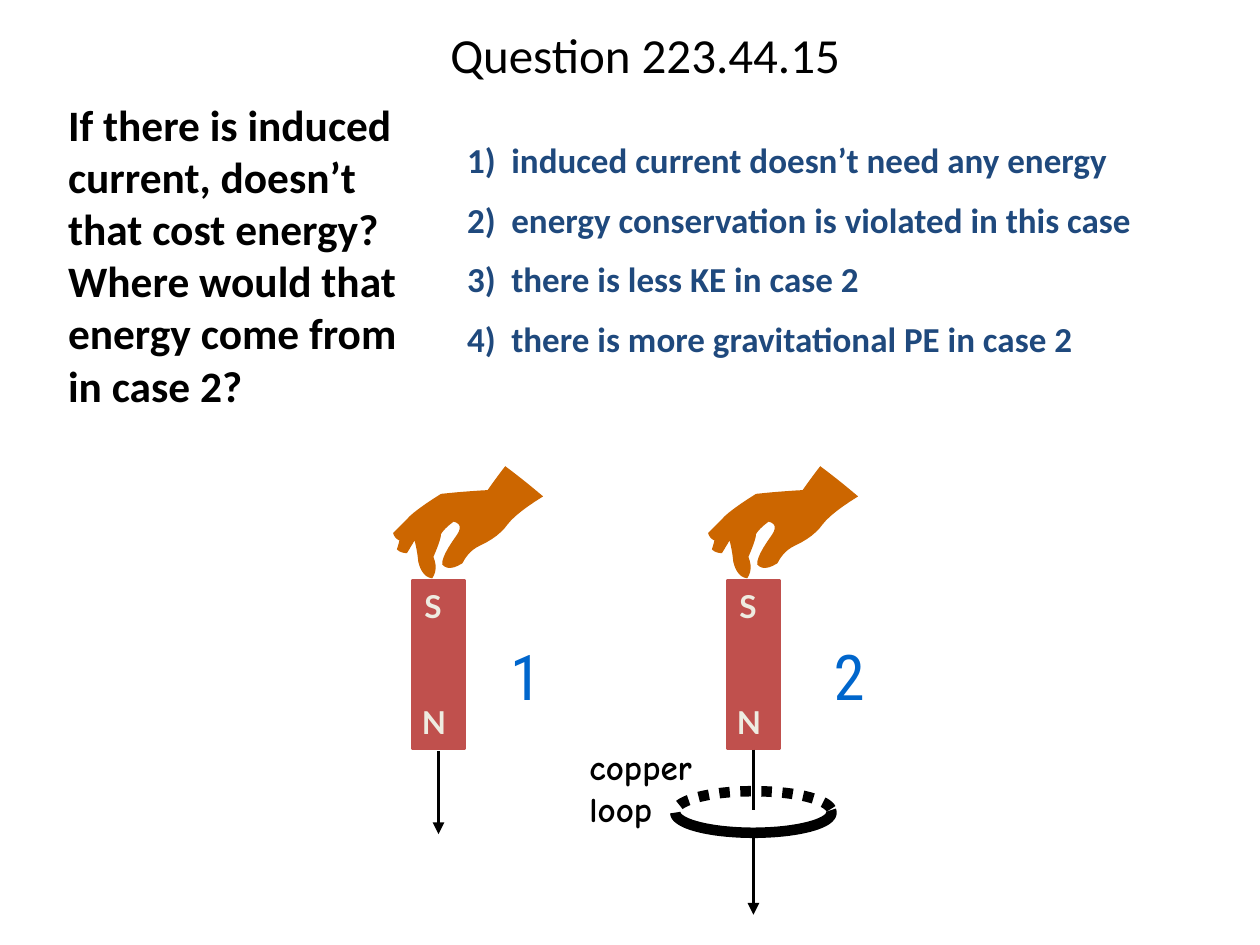
"""Build the quiz slide on induced current in a copper loop."""
from math import cos, radians, sin

from lxml.etree import SubElement
from pptx import Presentation
from pptx.dml.color import RGBColor
from pptx.enum.dml import MSO_LINE
from pptx.enum.shapes import MSO_CONNECTOR, MSO_SHAPE
from pptx.enum.text import MSO_ANCHOR, PP_ALIGN
from pptx.oxml.ns import qn
from pptx.util import Pt

PX = 9144
BLACK, NAVY, BLUE = "000000", "1F497D", "0066CC"
RED, CREAM, SKIN = "C0504D", "EEECE1", "CC6600"
rgb = RGBColor.from_string


def add_text(x, y, w, h, lines, size, font, color, bold=False, wrap=False):
    sp = s.shapes.add_textbox(x * PX, y * PX, w * PX, h * PX)
    tf = sp.text_frame
    tf.word_wrap = wrap
    for i, line in enumerate(lines):
        p = tf.paragraphs[0] if i == 0 else tf.add_paragraph()
        r = p.add_run()
        r.text = line
        r.font.size, r.font.name, r.font.bold = Pt(size), font, bold
        r.font.color.rgb = rgb(color)
    return tf


def add_outline(points, close):
    points = [(round(x * PX), round(y * PX)) for x, y in points]
    fb = s.shapes.build_freeform(*points[0])
    fb.add_line_segments(points[1:], close=close)
    sp = fb.convert_to_shape()
    sp.shadow.inherit = False
    return sp


prs = Presentation()
prs.slide_width, prs.slide_height = 1000 * PX, 750 * PX
s = prs.slides.add_slide(prs.slide_layouts[5])

title = s.shapes.title
title.left, title.top, title.width, title.height = 72 * PX, 0, 880 * PX, 92 * PX
title.text_frame.vertical_anchor = MSO_ANCHOR.MIDDLE
p = title.text_frame.paragraphs[0]
p.alignment = PP_ALIGN.CENTER
p.line_spacing = 0.9
r = p.add_run()
r.text = "Question 223.44.15"
r.font.size, r.font.name = Pt(28), "Calibri"
r.font.color.rgb = rgb(BLACK)

question = ("If there is induced current, doesn’t that cost energy? "
            "Where would that energy come from in case 2?")
tf = add_text(0, 73, 331, 262, [question], 24.8, "Calibri", BLACK, True, True)
tf.margin_left, tf.margin_right, tf.margin_top = 54 * PX, 5 * PX, 5 * PX

answers = [
    "induced current doesn’t need any energy",
    "energy conservation is violated in this case",
    "there is less KE in case 2",
    "there is more gravitational PE in case 2",
]
tf = add_text(361, 105, 639, 193, answers, 20, "Calibri", NAVY, True, True)
for i, p in enumerate(tf.paragraphs):
    pPr = p._p.get_or_add_pPr()
    pPr.set("marL", str(35 * PX))
    pPr.set("indent", str(-35 * PX))
    SubElement(pPr, qn("a:buFont"), typeface="Calibri")
    SubElement(pPr, qn("a:buAutoNum"), type="arabicParenR")
    if i:
        p.space_before = Pt(10)

LOOP_X, RADIUS_X, RADIUS_Y, START = 598, 62, 16, 7
back_half = (644, 187, MSO_LINE.ROUND_DOT)
front_half = (645, -180, MSO_LINE.SOLID)
for loop_y, end, dash in [back_half, front_half]:
    angles = [radians(START + (end - START) * i / 40) for i in range(41)]
    arc = [(LOOP_X + RADIUS_X * cos(a), loop_y - RADIUS_Y * sin(a)) for a in angles]
    sp = add_outline(arc, close=False)
    sp.fill.background()
    sp.line.color.rgb = rgb(BLACK)
    sp.line.width = Pt(6)
    sp.line.dash_style = dash

hand_curves = {
    "index inner side": ((36, 82), (32, 72)),
    "index knuckle": ((38, 58), (38, 54)),
    "index root": ((40, 50), (48, 44)),
    "thumb root": ((56, 46), (51, 54)),
    "thumb inner side": ((38, 72), (39, 78)),
    "thumb tip": ((44, 84), (55, 77)),
    "thumb outer side": ((60, 67), (69, 63)),
    "palm": ((84, 56), (91, 46)),
    "wrist below": ((98, 37), (119, 24)),
    "cuff": ((105, 12), (89, 0)),
    "wrist above": ((82, 9), (75, 19)),
    "back of hand": ((56, 20), (38, 22)),
    "knuckles": ((17, 35), (11, 42)),
    "little finger": ((5, 48), (0, 53)),
    "little fingertip": ((1, 57), (5, 59)),
    "ring finger": ((4, 63), (3, 66)),
    "ring fingertip": ((6, 69), (11, 69)),
    "ring inner side": ((14, 64), (17, 59)),
    "index outer side": ((19, 66), (20, 76)),
    "index fingertip": ((23, 88), (31, 89)),
}
STEPS = 6
hand_points = [hand_curves["index fingertip"][1]]
for control, end in hand_curves.values():
    start = hand_points[-1]
    for t in [i / STEPS for i in range(1, STEPS + 1)]:
        hand_points.append(tuple(
            (1 - t) ** 2 * a + 2 * t * (1 - t) * b + t ** 2 * c
            for a, b, c in zip(start, control, end)))

HAND_Y, MAGNET_Y, MAGNET_W, MAGNET_H = 370, 461, 42, 133
cases = [
    {"x": 312, "number": "1", "number_at": (395, 30), "falls": [(596, 662)]},
    {"x": 562, "number": "2", "number_at": (647, 54), "falls": [(595, 643), (659, 726)]},
]
for case in cases:
    x = case["x"]
    magnet_x = x + 15
    magnet = s.shapes.add_shape(MSO_SHAPE.RECTANGLE, magnet_x * PX, MAGNET_Y * PX,
                                MAGNET_W * PX, MAGNET_H * PX)
    magnet.shadow.inherit = False
    magnet.fill.solid()
    magnet.fill.fore_color.rgb = rgb(RED)
    magnet.line.color.rgb = rgb(RED)
    magnet.line.width = Pt(1.5)
    add_text(magnet_x - 2, MAGNET_Y + 92, 46, 50, ["N"], 18, "Lato", CREAM, True)
    add_text(magnet_x, MAGNET_Y, 41, 50, ["S"], 18, "Lato", CREAM, True)

    fall_x = magnet_x + MAGNET_W // 2
    for top, bottom in case["falls"]:
        cx = s.shapes.add_connector(MSO_CONNECTOR.STRAIGHT, fall_x * PX, top * PX,
                                    fall_x * PX, bottom * PX)
        cx.line.color.rgb = rgb(BLACK)
        cx.line.width = Pt(2.25)
        SubElement(cx._element.spPr, qn("a:effectLst"))
    SubElement(cx.line._get_or_add_ln(), qn("a:tailEnd"), type="triangle")

    hand = add_outline([(x + dx, HAND_Y + dy) for dx, dy in hand_points], close=True)
    hand.fill.solid()
    hand.fill.fore_color.rgb = rgb(SKIN)
    hand.line.fill.background()

    number_x, number_w = case["number_at"]
    tf = add_text(number_x, 501, number_w, 62, [case["number"]], 36, "Roboto Condensed", BLUE)
    tf.paragraphs[0].alignment = PP_ALIGN.CENTER

add_text(458, 587, 107, 77, ["copper", "loop"], 20, "Comic Neue", BLACK, True)

prs.save("out.pptx")
